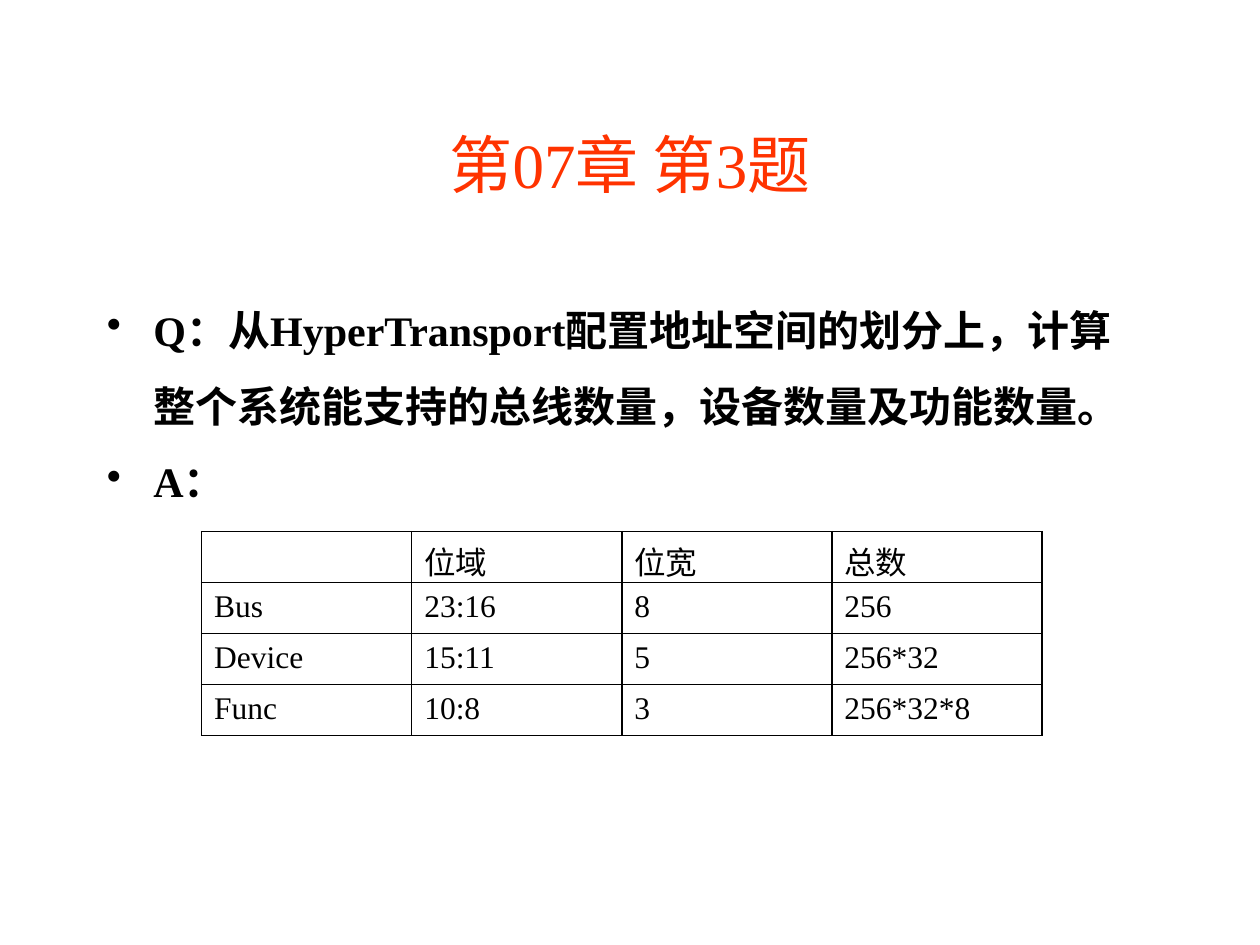
import pptx
import pptx.dml.color
import pptx.enum.text
import pptx.oxml
import pptx.oxml.ns
import pptx.util
from pptx.util import Inches

RED = pptx.dml.color.RGBColor(0xFF, 0x33, 0x00)
BLACK = pptx.dml.color.RGBColor(0, 0, 0)
FONT = "Times New Roman"
ROWS = [
    ["", "位域", "位宽", "总数"],
    ["Bus", "23:16", "8", "256"],
    ["Device", "15:11", "5", "256*32"],
    ["Func", "10:8", "3", "256*32*8"],
]
POINTS = [
    "Q：从HyperTransport配置地址空间的划分上，计算整个系统能支持的总线数量，设备数量及功能数量。",
    "A：",
]


def add_run(para, text, size, color=BLACK, bold=False):
    run = para.add_run()
    run.text = text
    run.font.name = FONT
    run.font.size = pptx.util.Pt(size)
    run.font.bold = bold
    run.font.color.rgb = color


def add_box(slide, left, top, width, height):
    box = slide.shapes.add_textbox(
        Inches(left), Inches(top), Inches(width), Inches(height))
    box.text_frame.word_wrap = True
    return box.text_frame


def add_title(slide, text):
    frame = add_box(slide, 0.75, 0.67, 8.5, 1.25)
    frame.vertical_anchor = pptx.enum.text.MSO_ANCHOR.MIDDLE
    para = frame.paragraphs[0]
    para.alignment = pptx.enum.text.PP_ALIGN.CENTER
    add_run(para, text, 36, RED)


def set_bullet(para):
    props = para._p.get_or_add_pPr()
    props.set("marL", str(Inches(0.37)))
    props.set("indent", str(Inches(-0.37)))
    mark = pptx.oxml.parse_xml(
        f'<a:buChar {pptx.oxml.ns.nsdecls("a")} char="•"/>')
    props.append(mark)


def add_list(slide, points):
    frame = add_box(slide, 0.75, 2.17, 8.5, 4.5)
    for index, text in enumerate(points):
        para = frame.add_paragraph() if index else frame.paragraphs[0]
        para.line_spacing = 1.5
        set_bullet(para)
        add_run(para, text, 24, bold=True)


def set_border(cell):
    """Draw a thin line on all four sides of the cell."""
    props = cell._tc.get_or_add_tcPr()
    for side in "LRTB":
        props.append(pptx.oxml.parse_xml(
            f'<a:ln{side} {pptx.oxml.ns.nsdecls("a")} w="{pptx.util.Pt(1)}">'
            f'<a:solidFill><a:srgbClr val="{BLACK}"/></a:solidFill>'
            f'</a:ln{side}>'))


def add_grid(slide, rows):
    table = slide.shapes.add_table(
        len(rows), len(rows[0]), Inches(1.6), Inches(4.22),
        Inches(6.67), Inches(1.62)).table
    table.first_row = False
    table.horz_banding = False
    for r, row in enumerate(rows):
        for c, text in enumerate(row):
            cell = table.cell(r, c)
            set_border(cell)
            cell.fill.background()
            if text:
                add_run(cell.text_frame.paragraphs[0], text, 18)


def main():
    deck = pptx.Presentation()
    deck.slide_width = Inches(10)
    deck.slide_height = Inches(7.5)
    slide = deck.slides.add_slide(deck.slide_layouts[6])
    add_title(slide, "第07章 第3题")
    add_list(slide, POINTS)
    add_grid(slide, ROWS)
    deck.save("out.pptx")


if __name__ == "__main__":
    main()
